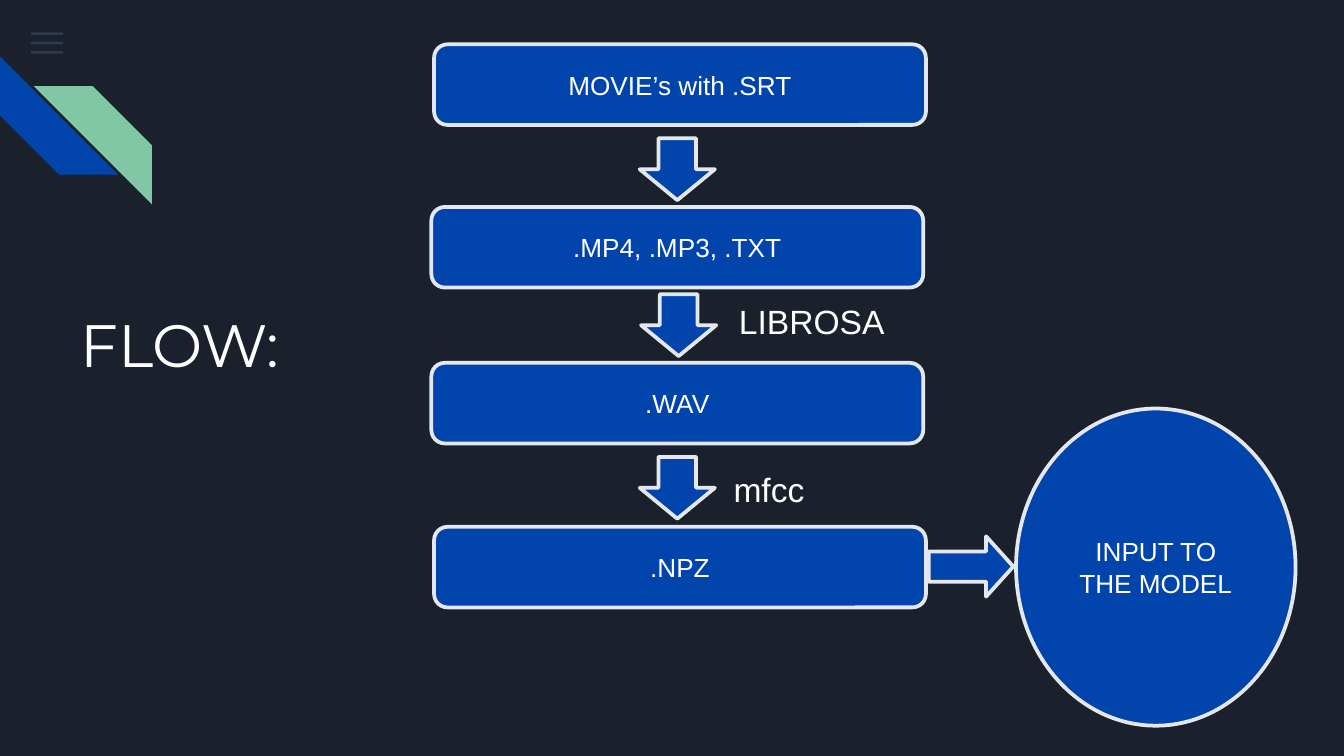
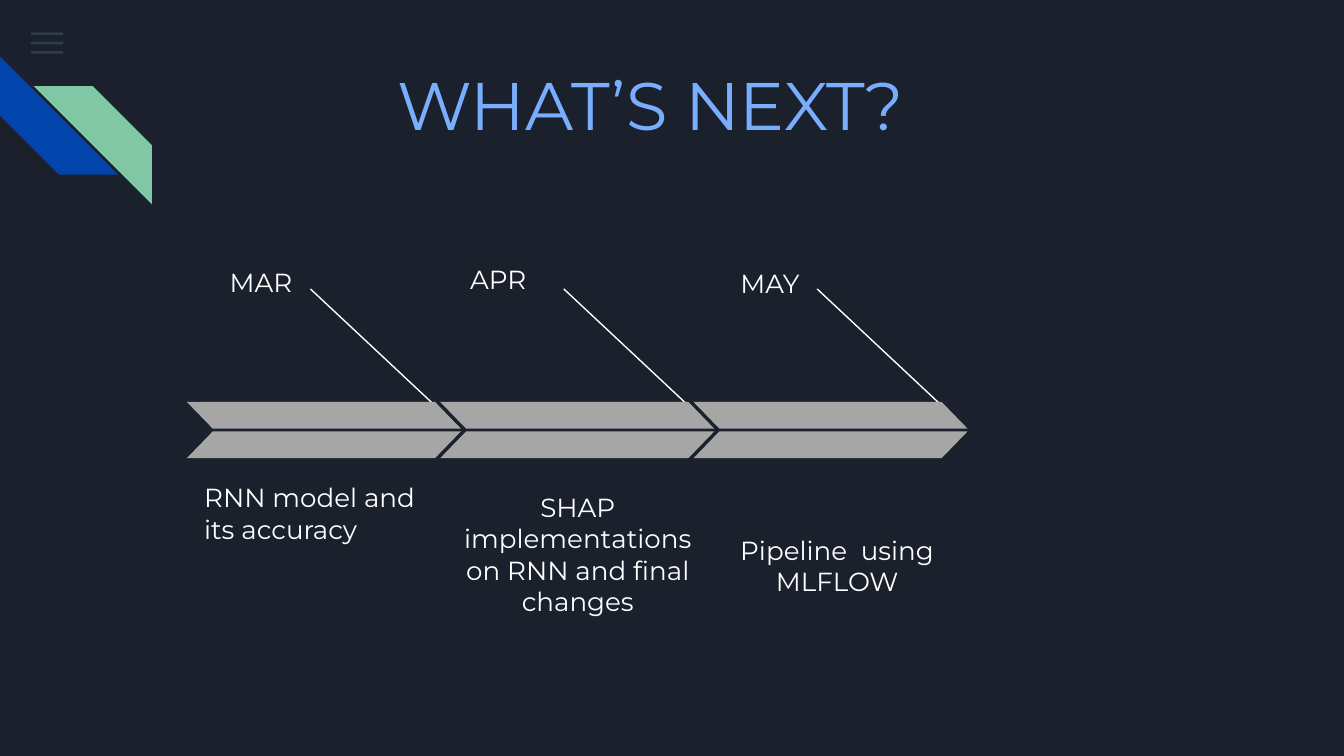
from pptx import Presentation
from pptx import util as u
from pptx.dml.color import RGBColor
from pptx.enum import shapes, text
from pptx.oxml.ns import qn
from lxml import etree

# Shared look: a grid of 100 columns, each cell a tenth of an inch square
CELL = u.Inches(0.1)
BACK, BLUE, GREEN, MENU = "1B212C", "0145AC", "82C7A5", "55688B"
OUTLINE, WHITE, SKY, GREY = "E4E8EE", "FFFFFF", "79AEFE", "A6A6A6"
KIND = shapes.MSO_SHAPE
TITLE_FONT, FLOW_FONT = "Montserrat", "Arial"
CENTER, LEFT = text.PP_ALIGN.CENTER, text.PP_ALIGN.LEFT
TOP, MIDDLE, BOTTOM = (text.MSO_ANCHOR.TOP, text.MSO_ANCHOR.MIDDLE,
                       text.MSO_ANCHOR.BOTTOM)
rgb = RGBColor.from_string


def draw(page, kind, area, fill, line=None, flip=False, turn=0, adjust=()):
    """Add a preset shape; area is left, top, width, height in cells."""
    shape = page.shapes.add_shape(kind, *[round(n * CELL) for n in area])
    shape.shadow.inherit = False
    shape.rotation = turn
    for index, value in enumerate(adjust):
        shape.adjustments[index] = value
    shape.fill.solid()
    shape.fill.fore_color.rgb = rgb(fill)
    if line:
        shape.line.color.rgb = rgb(line)
        shape.line.width = u.Pt(2)
    else:
        shape.line.fill.background()
    if flip:
        shape._element.spPr.find(qn("a:xfrm")).set("flipH", "1")
    return shape


def write(box, words, size=14, font=TITLE_FONT, color=WHITE, align=LEFT,
          anchor=TOP, pad=0.5):
    """Fill a shape or box with one paragraph; pad is the vertical inset."""
    frame = box.text_frame
    frame.word_wrap = True
    frame.vertical_anchor = anchor
    frame.margin_left = frame.margin_right = CELL
    frame.margin_top = frame.margin_bottom = round(pad * CELL)
    para = frame.paragraphs[0]
    para.alignment = align
    span = para.add_run()
    span.text = words
    span.font.size = u.Pt(size)
    span.font.name = font
    span.font.color.rgb = rgb(color)


deck = Presentation()
deck.slide_width, deck.slide_height = 100 * CELL, round(56.25 * CELL)
flow, future = [deck.slides.add_slide(deck.slide_layouts[6]) for _ in range(2)]

# Background, menu bars, corner stripes and title of both pages
titles = [
    (flow, "FLOW:", 32, WHITE, (1.6, 21.9, 23.6, 6)),
    (future, "WHAT’S NEXT?", 36, SKY, (25.9, 3.7, 45, 10)),
]
for page, words, size, color, area in titles:
    page.background.fill.solid()
    page.background.fill.fore_color.rgb = rgb(BACK)
    for bar in range(3):
        menu = draw(page, KIND.RECTANGLE, (2.3, 2.4 + 0.7 * bar, 2.4, 0.2), MENU)
        tint = menu._element.spPr.find(".//" + qn("a:srgbClr"))
        etree.SubElement(tint, qn("a:alpha")).set("val", "36000")
    draw(page, KIND.DIAGONAL_STRIPE, (0, 4.2, 8.8, 8.8), BLUE, turn=270)
    draw(page, KIND.DIAGONAL_STRIPE, (2.5, 6.4, 8.8, 8.8), GREEN, flip=True)
    title = page.shapes.add_textbox(*[round(n * CELL) for n in area])
    write(title, words, size=size, color=color, align=CENTER, pad=1)

# Flow: steps, the model, then the arrows between them
steps = [
    (KIND.ROUNDED_RECTANGLE, "MOVIE’s with .SRT", (32.3, 3.3, 36.6, 6)),
    (KIND.ROUNDED_RECTANGLE, ".MP4, .MP3, .TXT", (32.1, 15.4, 36.6, 6)),
    (KIND.ROUNDED_RECTANGLE, ".WAV", (32.1, 27, 36.6, 6)),
    (KIND.ROUNDED_RECTANGLE, ".NPZ", (32.3, 39.2, 36.6, 6)),
    (KIND.OVAL, "INPUT TO THE MODEL", (75.6, 30.4, 20.8, 23.6)),
]
for kind, words, area in steps:
    step = draw(flow, kind, area, BLUE, line=OUTLINE)
    write(step, words, font=FLOW_FONT, align=CENTER, anchor=MIDDLE)

for left, top in [(47.6, 10.3), (47.7, 21.9), (47.6, 34)]:
    draw(flow, KIND.DOWN_ARROW, (left, top, 5.6, 4.6), BLUE, line=OUTLINE)
draw(flow, KIND.DOWN_ARROW, (70, 39, 4.5, 6.3), BLUE, line=OUTLINE,
     turn=270, adjust=(0.5, 0.45))

# Flow: names of the conversions
for words, area in [("LIBROSA", (54, 21.9, 18.3, 4)),
                    ("mfcc", (53.6, 34.4, 18.3, 7.1))]:
    label = flow.shapes.add_textbox(*[round(n * CELL) for n in area])
    write(label, words, size=18, font=FLOW_FONT)

# Timeline: each month has a pointer, a two-part chevron and two texts
PITCH = 18.85
months = [
    ("MAR", (16.1, 18.8, 9.3, 3.3),
     "RNN model and its accuracy", (14.2, 35.9, 20.1, 5.6), LEFT),
    ("APR", (34, 18.6, 9.8, 2.8),
     "SHAP implementations on RNN and final changes",
     (33.2, 33.7, 19.6, 13.2), CENTER),
    ("MAY", (54.1, 18.9, 9.3, 3.3),
     "Pipeline  using MLFLOW", (52.5, 35.9, 19.6, 9.5), CENTER),
]
for index, (month, month_area, plan, plan_area, align) in enumerate(months):
    shift = index * PITCH
    ends = (23.1 + shift, 21.5, 34.1 + shift, 31.8)
    pointer = future.shapes.add_connector(
        shapes.MSO_CONNECTOR.STRAIGHT, *[round(n * CELL) for n in ends])
    pointer.line.color.rgb = rgb(WHITE)
    pointer.line.width = u.Pt(0.75)
    etree.SubElement(pointer._element.spPr, qn("a:effectLst"))
    for top, flip in [(29.9, True), (32.1, False)]:
        draw(future, KIND.PARALLELOGRAM, (13.9 + shift, top, 20.4, 2), GREY,
             flip=flip, adjust=(0.97,))
    for words, area, side, anchor in [(month, month_area, LEFT, TOP),
                                      (plan, plan_area, align, BOTTOM)]:
        label = future.shapes.add_textbox(*[round(n * CELL) for n in area])
        write(label, words, align=side, anchor=anchor, pad=1)

deck.save("out.pptx")
